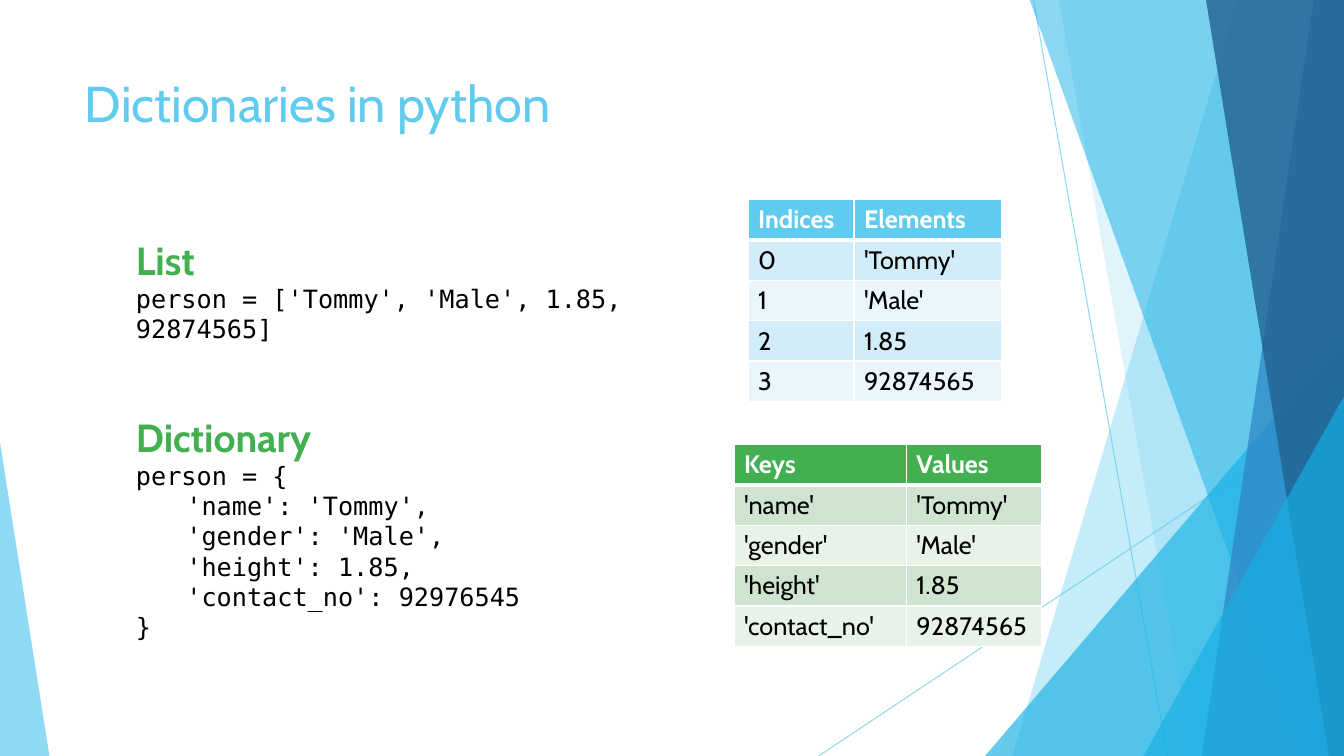
"""Build a slide that compares lists and dictionaries in Python."""
from lxml import etree
from pptx import Presentation
from pptx.dml import color
from pptx.enum import shapes, text
from pptx.oxml import ns
from pptx.util import Inches, Pt

SKY, BLUE, GREEN = "5FCBEF", "17B0E4", "42B051"
SANS, MONO = "Cabin", "DejaVu Sans Mono"


def paint(fill, tone, alpha=100):
    fill.solid()
    fill.fore_color.rgb = color.RGBColor.from_string(tone)
    if alpha < 100:
        tag = next(fill._xPr.iter(ns.qn("a:srgbClr")))
        etree.SubElement(tag, ns.qn("a:alpha")).set("val", str(alpha * 1000))


def style(para, size, face, tone, bold=False):
    font = para.font
    font.size, font.name, font.bold = Pt(size), face, bold
    paint(font.fill, tone)


deck = Presentation()
deck.slide_width, deck.slide_height = Inches(13.33), Inches(7.5)
slide = deck.slides.add_slide(deck.slide_layouts[5])
items = slide.shapes

for ends in [(10.25, 0, 11.58, 7.5), (13.33, 4.03, 8.12, 7.5)]:
    line = items.add_connector(shapes.MSO_CONNECTOR.STRAIGHT, *map(Inches, ends))
    line.line.width = Pt(0.75)
    paint(line.line.fill, SKY, 70)
    etree.SubElement(line._element.spPr, ns.qn("a:effectLst"))

# Each band is a top left x, a bottom left x, a colour and an opacity.
bands = [
    ("band", (12.28, 10.04), SKY, 36),
    ("band", (10.5, 11.83), SKY, 20),
    ("wedge", (9.77, 3.33, 3.56, 4.17, 1), BLUE, 66),
    ("band", (10.21, 12.91), BLUE, 50),
    ("band", (13.03, 11.92), "2E83C3", 70),
    ("band", (11.96, 13.18), "226292", 80),
    ("wedge", (11.34, 3.93, 1.99, 3.57, 1), BLUE, 66),
    ("wedge", (0, 4.39, 0.49, 3.11, 0), SKY, 70),
]
for kind, spot, tone, alpha in bands:
    if kind == "band":
        top, base = spot
        pen = items.build_freeform(Inches(top), Inches(-0.01))
        rest = [(13.33, -0.01), (13.33, 7.5), (base, 7.5)]
        pen.add_line_segments([(Inches(x), Inches(y)) for x, y in rest])
        shape = pen.convert_to_shape()
    else:
        shape = items.add_shape(
            shapes.MSO_SHAPE.ISOSCELES_TRIANGLE, *map(Inches, spot[:4]))
        shape.adjustments[0] = spot[4]
    paint(shape.fill, tone, alpha)
    shape.line.fill.background()
    shape.shadow.inherit = False

title = items.title
title.left, title.top = Inches(0.74), Inches(0.67)
title.width, title.height = Inches(9.4), Inches(1.44)
frame = title.text_frame
frame.text = "Dictionaries in python"
frame.auto_size = text.MSO_AUTO_SIZE.NONE
frame.vertical_anchor = text.MSO_ANCHOR.TOP
frame.paragraphs[0].alignment = text.PP_ALIGN.LEFT
style(frame.paragraphs[0], 36, SANS, SKY)

notes = [
    (2.29, 1.18, ["List", "person = ['Tommy', 'Male', 1.85, 92874565]"]),
    (4.05, 2.39, ["Dictionary", "person = {", "\t'name': 'Tommy',",
                  "\t'gender': 'Male',", "\t'height': 1.85,",
                  "\t'contact_no': 92976545", "}"]),
]
for top, high, lines in notes:
    box = items.add_textbox(Inches(1.25), Inches(top), Inches(5.93), Inches(high))
    frame = box.text_frame
    frame.word_wrap = True
    frame.auto_size = text.MSO_AUTO_SIZE.SHAPE_TO_FIT_TEXT
    frame.text = "\n".join(lines)
    for i, para in enumerate(frame.paragraphs):
        if lines[i].startswith("\t"):
            tabs = etree.SubElement(para._p.get_or_add_pPr(), ns.qn("a:tabLst"))
            etree.SubElement(tabs, ns.qn("a:tab"), pos=str(Inches(0.5)), algn="l")
        if i == 0:
            style(para, 28, SANS, GREEN, True)
        else:
            style(para, 18, MONO, "000000")

tables = [
    (7.42, 1.98, (1.05, 1.46), (SKY, "EAF6FC", "D2ECF9"),
     [("Indices", "Elements"), ("0", "'Tommy'"), ("1", "'Male'"),
      ("2", "1.85"), ("3", "92874565")]),
    (7.28, 4.41, (1.71, 1.34), (GREEN, "E9F2E9", "CFE4D0"),
     [("Keys", "Values"), ("'name'", "'Tommy'"), ("'gender'", "'Male'"),
      ("'height'", "1.85"), ("'contact_no'", "92874565")]),
]
for left, top, wide, (head, pale, deep), rows in tables:
    grid = items.add_table(len(rows), 2, Inches(left), Inches(top),
                           Inches(sum(wide)), Inches(0.4 * len(rows))).table
    for col, width in zip(grid.columns, wide):
        col.width = Inches(width)
    for r, row in enumerate(rows):
        for c, word in enumerate(row):
            cell = grid.cell(r, c)
            cell.text = word
            style(cell.text_frame.paragraphs[0], 18, SANS,
                  "000000" if r else "FFFFFF", r == 0)
            paint(cell.fill, (deep if r % 2 else pale) if r else head)
            for i, side in enumerate("LRTB"):
                thick = (r, side) in [(0, "B"), (1, "T")]
                edge = etree.Element(ns.qn("a:ln" + side),
                                     w=str(Pt(3 if thick else 1)))
                solid = etree.SubElement(edge, ns.qn("a:solidFill"))
                etree.SubElement(solid, ns.qn("a:srgbClr"), val="FFFFFF")
                cell._tc.get_or_add_tcPr().insert(i, edge)

deck.save("out.pptx")
